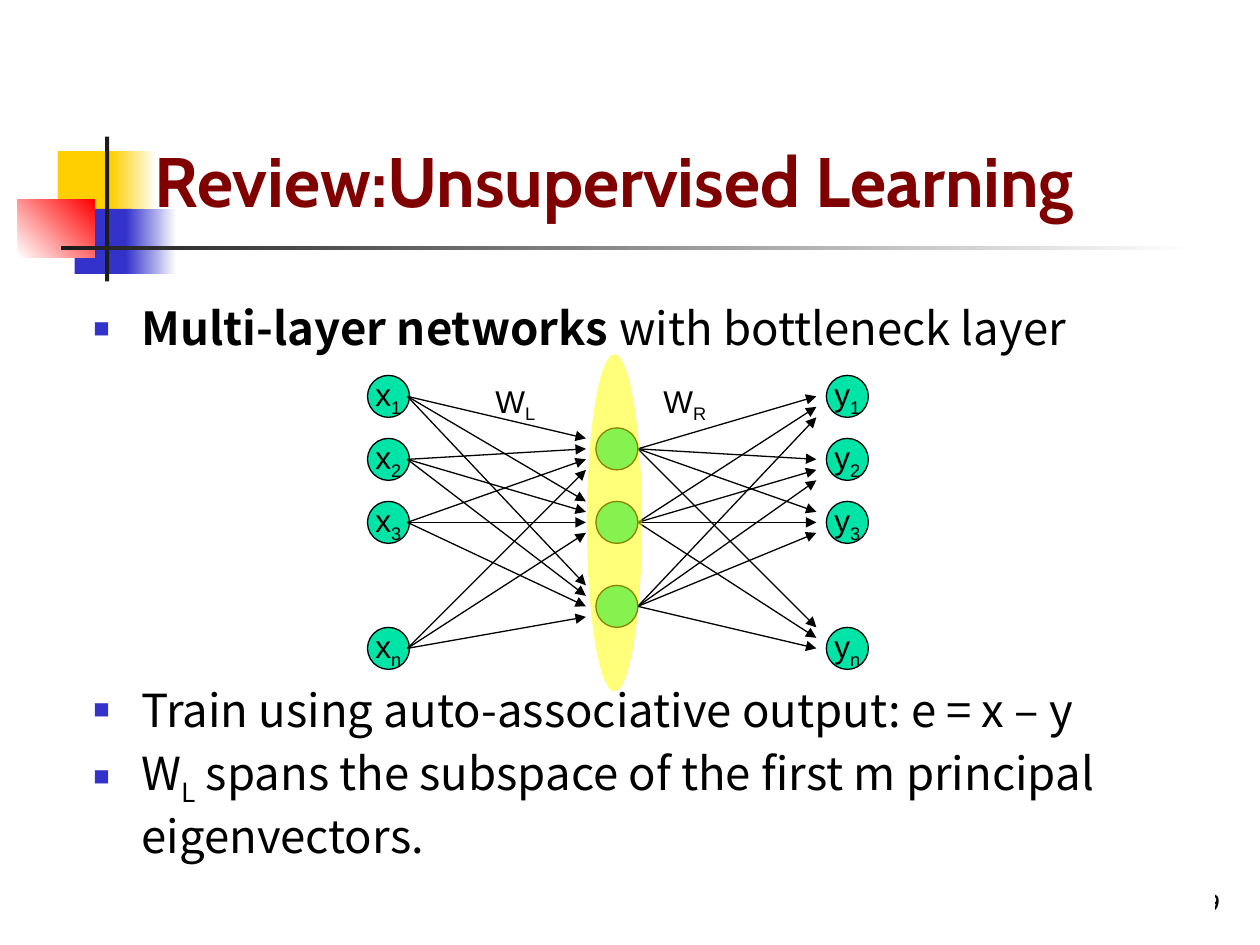
import pptx
import pptx.util
import pptx.dml.color
import pptx.enum.dml
import pptx.enum.shapes
import pptx.enum.text
import pptx.oxml
import pptx.oxml.ns
from lxml import etree

COLS = 120
SHAPE = pptx.enum.shapes.MSO_SHAPE
ANCHOR = pptx.enum.text.MSO_ANCHOR
ALIGN = pptx.enum.text.PP_ALIGN
qn = pptx.oxml.ns.qn

prs = pptx.Presentation()
prs.slide_width = pptx.util.Inches(10)
prs.slide_height = pptx.util.Inches(7.5)
UNIT = prs.slide_width / COLS


def grid(*cells):
    return [round(c * UNIT) for c in cells]


def place(s, box):
    s.left, s.top, s.width, s.height = grid(*box)


def rgb(color):
    return pptx.dml.color.RGBColor.from_string(color)


def add_run(p, text, size, font, color="000000", bold=False, sub=False):
    r = p.add_run()
    r.text = text
    r.font.size = pptx.util.Pt(size)
    r.font.name = font
    r.font.bold = bold
    r.font.color.rgb = rgb(color)
    if sub:
        r.font._element.set("baseline", "-25000")


def add_symbol(p, base, index):
    add_run(p, base, 18, "Arial")
    add_run(p, index, 18, "Arial", sub=True)


def add_filled(slide, kind, box, color, end=None, angle=0):
    s = slide.shapes.add_shape(kind, *grid(*box))
    s.shadow.inherit = False
    s.line.fill.background()
    if end:
        s.fill.gradient()
        s.fill.gradient_angle = angle
        for stop, c in zip(s.fill.gradient_stops, (color, end)):
            stop.color.rgb = rgb(c)
    else:
        s.fill.solid()
        s.fill.fore_color.rgb = rgb(color)
    return s


def add_ornament(slide, x, y):
    parts = [
        (3.8, 1.4, 5.8, 6.2, "FFCF01", None, 0),
        (8.9, 1.4, 4.3, 6.2, "FFCF01", "FFFFFF", 0),
        (5.4, 6.9, 5.5, 6.2, "3333CC", None, 0),
        (10.3, 6.9, 4.8, 6.2, "3333CC", "FFFFFF", 0),
        (0, 6, 7.3, 5.5, "FFFFFF", "FF0000", 45),
        (8.3, 0, 0.4, 13.8, "1C1C1C", None, 0),
        (4.1, 10.4, 108, 0.4, "1C1C1C", "FFFFFF", 0),
    ]
    for dx, dy, w, h, color, end, angle in parts:
        add_filled(slide, SHAPE.RECTANGLE, (x + dx, y + dy, w, h), color, end, angle)


def add_title(slide, box):
    s = slide.shapes.title
    place(s, box)
    slide.shapes._spTree.append(s._element)
    tf = s.text_frame
    tf.auto_size = pptx.enum.text.MSO_AUTO_SIZE.NONE
    tf.vertical_anchor = ANCHOR.BOTTOM
    p = tf.paragraphs[0]
    p.alignment = ALIGN.LEFT
    add_run(p, "Review:Unsupervised Learning", 40, "Cabin", "800000", True)


def add_number(slide, box):
    tf = slide.shapes.add_textbox(*grid(*box)).text_frame
    tf.word_wrap = True
    tf.vertical_anchor = ANCHOR.BOTTOM
    p = tf.paragraphs[0]
    p.alignment = ALIGN.RIGHT
    add_run(p, "29", 14, "Cabin")


def add_bullet(p):
    pPr = p._p.get_or_add_pPr()
    indent = pptx.util.Inches(0.38)
    pPr.set("marL", str(indent))
    pPr.set("indent", str(-indent))
    color = etree.SubElement(pPr, qn("a:buClr"))
    etree.SubElement(color, qn("a:srgbClr")).set("val", "3333CC")
    etree.SubElement(pPr, qn("a:buSzPct")).set("val", "60000")
    etree.SubElement(pPr, qn("a:buFont")).set("typeface", "Arial")
    etree.SubElement(pPr, qn("a:buChar")).set("char", "■")


def add_body(slide, box):
    s = slide.placeholders[1]
    place(s, box)
    slide.shapes._spTree.append(s._element)
    s.fill.solid()
    s.fill.fore_color.rgb = rgb("FFFFFF")
    tf = s.text_frame
    tf.auto_size = pptx.enum.text.MSO_AUTO_SIZE.NONE
    items = [
        (0, [("Multi-layer networks", True, False), (" with bottleneck layer", False, False)]),
        (187, [("Train using auto-associative output: e = x – y", False, False)]),
        (5, [("W", False, False), ("L", False, True),
             (" spans the subspace of the first m principal eigenvectors.", False, False)]),
    ]
    for i, (before, runs) in enumerate(items):
        p = tf.add_paragraph() if i else tf.paragraphs[0]
        add_bullet(p)
        p.line_spacing = 1.0
        p.space_before = pptx.util.Pt(before)
        for text, bold, sub in runs:
            add_run(p, text, 26, "Noto Sans CJK SC", bold=bold, sub=sub)


def add_node(slide, x, y, base="", index=""):
    s = add_filled(slide, SHAPE.OVAL, (x, y, 4, 4), "00E4A8")
    s.line.color.rgb = rgb("000000")
    s.line.width = pptx.util.Pt(0.75)
    if base:
        tf = s.text_frame
        tf.word_wrap = False
        tf.vertical_anchor = ANCHOR.MIDDLE
        p = tf.paragraphs[0]
        p.alignment = ALIGN.CENTER
        add_symbol(p, base, index)


def add_arrow(slide, x1, y1, x2, y2):
    s = slide.shapes.add_connector(pptx.enum.shapes.MSO_CONNECTOR.STRAIGHT, *grid(x1, y1, x2, y2))
    s.line.color.rgb = rgb("000000")
    s.line.width = pptx.util.Pt(0.75)
    etree.SubElement(s.line._get_or_add_ln(), qn("a:tailEnd")).set("type", "triangle")
    etree.SubElement(s._element.spPr, qn("a:effectLst"))


def add_links(slide, x1, x2, sources, targets, shifts):
    for target, shift in zip(targets, shifts):
        for i, source in enumerate(sources):
            add_arrow(slide, x1, source, x2, target + shift + i)


def add_network(slide, x, y):
    outer = [y + row for row in (0, 6, 12, 24)]
    hidden = [y + row for row in (5, 12, 20)]
    for row, index in zip(outer, "123n"):
        add_node(slide, x, row, "x", index)
        add_node(slide, x + 43.7, row, "y", index)
    for row in hidden:
        add_node(slide, x + 21.75, row)
    outer_mid = [row + 2 for row in outer]
    hidden_mid = [row + 2 for row in hidden]
    add_links(slide, x + 3.8, x + 20.8, outer_mid, hidden_mid, (-1, -2, -2))
    add_links(slide, x + 25.75, x + 42.75, hidden_mid, outer_mid, (0, 0, -1, -2))
    for dx, index in ((11, "L"), (27, "R")):
        tf = slide.shapes.add_textbox(*grid(x + dx, y, 6.5, 4.8)).text_frame
        tf.word_wrap = False
        add_symbol(tf.paragraphs[0], "W", index)
    s = add_filled(slide, SHAPE.OVAL, (x + 20.9, y - 2, 5.25, 32.1), "FFFF00")
    color = s._element.spPr.find(".//" + qn("a:srgbClr"))
    etree.SubElement(color, qn("a:alpha")).set("val", "52000")


def main():
    slide = prs.slides.add_slide(prs.slide_layouts[1])
    add_ornament(slide, 1.7, 13)
    add_title(slide, (13.55, 2.5, 102.2, 19.2))
    add_number(slide, (92.4, 82, 25, 6))
    add_body(slide, (7.7, 28, 108, 62))
    add_network(slide, 35, 35.75)
    prs.save("out.pptx")


if __name__ == "__main__":
    main()
